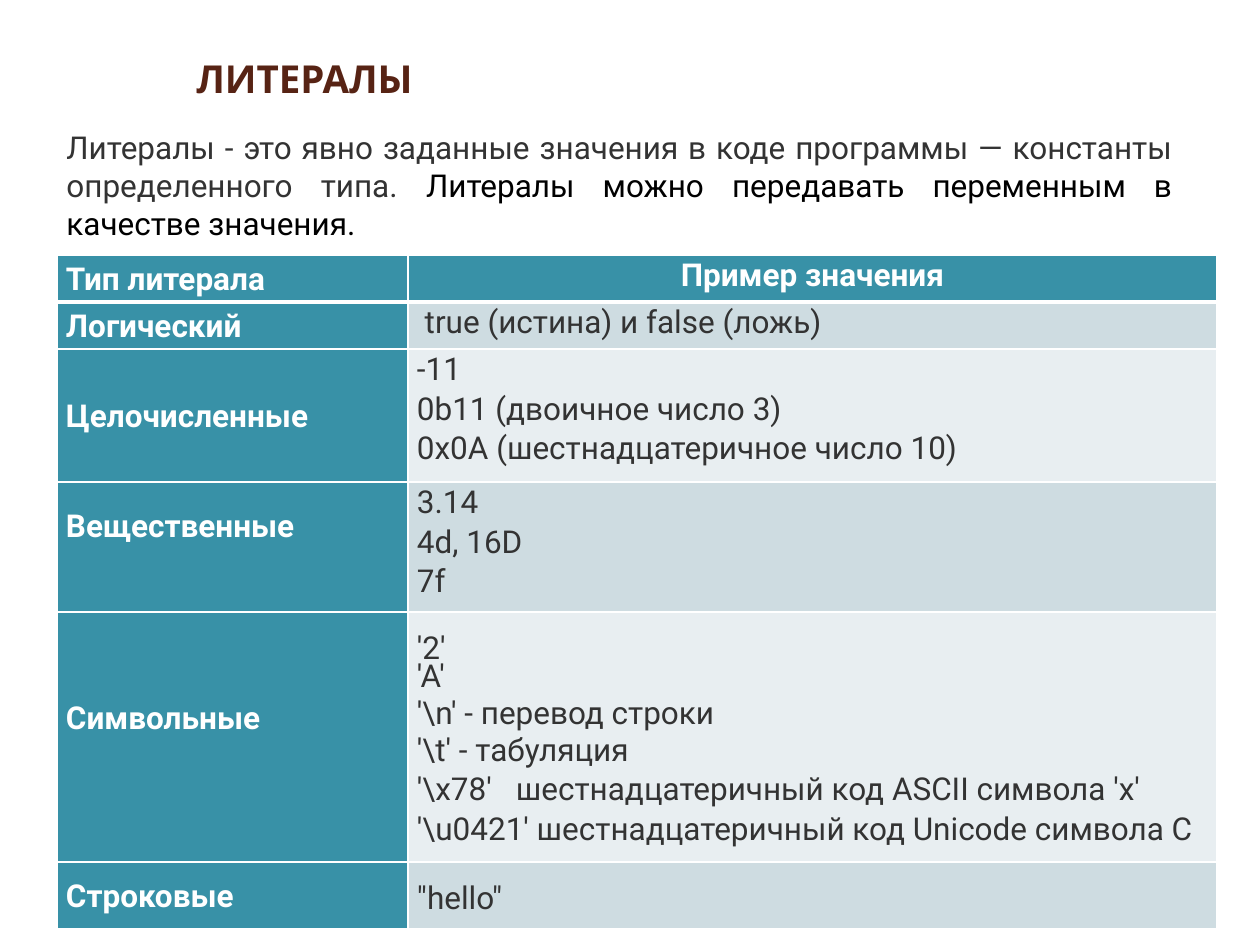
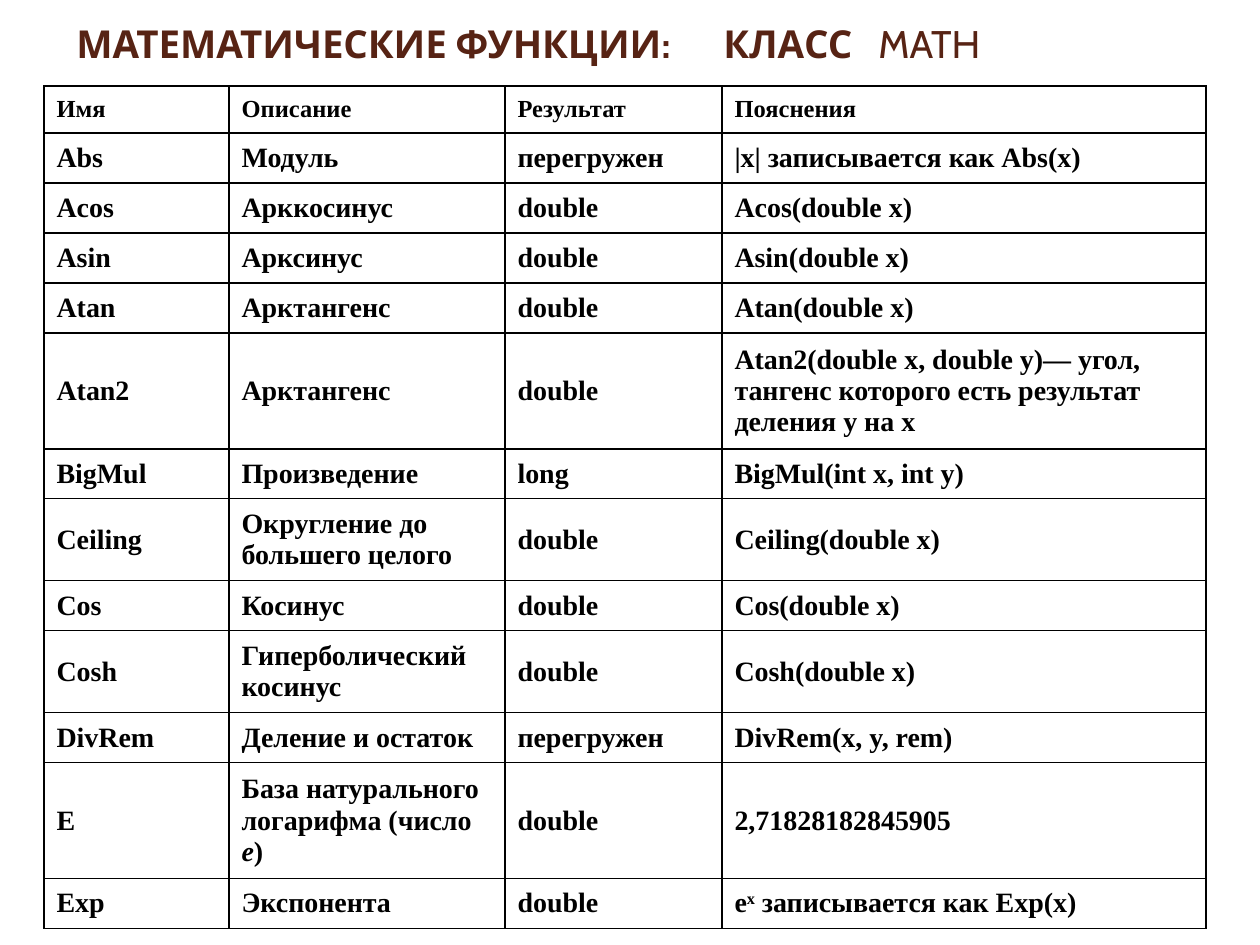
from pptx import Presentation
from pptx.util import Pt
from pptx.dml.color import RGBColor
from pptx.enum.text import MSO_ANCHOR, PP_ALIGN
from pptx.oxml.ns import qn
from lxml.etree import SubElement, Element

PX = 914400 // 126
HEX = {"title": "572314", "teal": "3891A7", "dark": "CEDCE1", "light": "E8EEF1",
       "gray": "333333", "black": "000000", "white": "FFFFFF"}
HEAD, BODY, SERIF = "Cabin", "Roboto", "Times New Roman"
TIGHT, LOOSE = Pt(15.8), 1.07

INTRO = [
    ("Литералы - это явно заданные значения в коде программы — константы определенного типа. ", "gray"),
    ("Литералы можно передавать переменным в качестве значения.", "black"),
]
KINDS = [
    ("Тип литерала", [(LOOSE, "Пример значения")]),
    ("Логический", [(LOOSE, " true (истина) и false (ложь)")]),
    ("Целочисленные", [(LOOSE, "-11"), (LOOSE, "0b11 (двоичное число 3)"),
                       (LOOSE, "0x0A (шестнадцатеричное число 10)")]),
    ("Вещественные", [(LOOSE, "3.14"), (LOOSE, "4d, 16D"), (LOOSE, "7f")]),
    ("Символьные", [(TIGHT, "'2'"), (TIGHT, "'A'"),
                    (1.0, r"'\n' - перевод строки"), (1.0, r"'\t' - табуляция"),
                    (LOOSE, r"'\x78'" + "\tшестнадцатеричный код ASCII символа 'x'"),
                    (LOOSE, r"'\u0421' шестнадцатеричный код Unicode символа С")]),
    ("Строковые", [(TIGHT, '"hello"')]),
]
KIND_COLS = [351, 809]
KIND_ROWS = [47, 47, 133, 130, 250, 67]
TOP_PAD = {"Символьные": 28, "Строковые": 28}
LOW_PAD = {"Вещественные": 40, "Символьные": 37}

MATH = [
    ("Имя", "Описание", "Результат", "Пояснения"),
    ("Abs", "Модуль", "перегружен", "|x| записывается как Abs(x)"),
    ("Acos", "Арккосинус", "double", "Acos(double x)"),
    ("Asin", "Арксинус", "double", "Asin(double x)"),
    ("Atan", "Арктангенс", "double", "Atan(double x)"),
    ("Atan2", "Арктангенс", "double",
     "Atan2(double x, double y)— угол, тангенс которого есть результат деления y на x"),
    ("BigMul", "Произведение", "long", "BigMul(int x, int y)"),
    ("Ceiling", "Округление до большего целого", "double", "Ceiling(double х)"),
    ("Cos", "Косинус", "double", "Сos(double x)"),
    ("Cosh", "Гиперболический косинус", "double", "Cosh(double x)"),
    ("DivRem", "Деление и остаток", "перегружен", "DivRem(x, y, rem)"),
    ("E", ("База натурального логарифма (число ", "е", ")"), "double", "2,71828182845905"),
    ("Exp", "Экспонента", "double", ("e", "x", " записывается как Exp(x)")),
]
MATH_COLS = [185, 276, 217, 484]
LINES = {"Atan2": 3, "Ceiling": 2, "Cosh": 2, "E": 3}
TALL = {1: 50, 2: 82, 3: 116}


def paint(run, font, size, color, bold=False):
    run.font.name, run.font.size, run.font.bold = font, Pt(size), bold
    run.font.color.rgb = RGBColor.from_string(HEX[color])


def write(par, parts, *style):
    if isinstance(parts, str):
        par.text = parts
    else:
        for part in parts:
            par.add_run().text = part
    for run in par.runs:
        paint(run, *style)


def tabs(par, *stops):
    group = SubElement(par._p.get_or_add_pPr(), qn("a:tabLst"))
    for stop in stops:
        SubElement(group, qn("a:tab"), pos=str(stop * PX), algn="l")


def add_box(slide, *place):
    frame = slide.shapes.add_textbox(*[n * PX for n in place]).text_frame
    frame.word_wrap = True
    return frame


def add_title(slide, place, text):
    frame = add_box(slide, *place)
    frame.vertical_anchor = MSO_ANCHOR.BOTTOM
    par = frame.paragraphs[0]
    par.line_spacing = Pt(20)
    write(par, text, HEAD, 22, "title", True)
    return par


def add_grid(slide, left, top, cols, rows):
    size = [n * PX for n in (left, top, sum(cols), sum(rows))]
    grid = slide.shapes.add_table(len(rows), len(cols), *size).table
    grid.horz_banding = False
    for col, wide in zip(grid.columns, cols):
        col.width = wide * PX
    for row, high in zip(grid.rows, rows):
        row.height = high * PX
    return grid


def frame_cell(cell, color, top=1, low=1):
    props = cell._tc.get_or_add_tcPr()
    for i, (side, wide) in enumerate((("L", 1), ("R", 1), ("T", top), ("B", low))):
        line = Element(qn("a:ln" + side), w=str(Pt(wide)))
        fill = SubElement(line, qn("a:solidFill"))
        SubElement(fill, qn("a:srgbClr"), val=HEX[color])
        props.insert(i, line)


def shade(cell, color):
    cell.fill.solid()
    cell.fill.fore_color.rgb = RGBColor.from_string(HEX[color])


def draw_kinds(slide):
    add_title(slide, (184, -50, 1033, 157), "ЛИТЕРАЛЫ")
    par = add_box(slide, 54, 122, 1131, 127).paragraphs[0]
    par.alignment = PP_ALIGN.JUSTIFY
    for text, color in INTRO:
        run = par.add_run()
        run.text = text
        paint(run, BODY, 18, color)

    grid = add_grid(slide, 57, 255, KIND_COLS, KIND_ROWS)
    for r, (kind, items) in enumerate(KINDS):
        name, value = grid.cell(r, 0), grid.cell(r, 1)
        for cell in (name, value):
            cell.margin_left = cell.margin_right = 9 * PX
            cell.margin_top = cell.margin_bottom = 0
            frame_cell(cell, "white", 3 if r == 1 else 1, 3 if r == 0 else 1)
        shade(name, "teal")
        shade(value, ("dark" if r % 2 else "light") if r else "teal")
        name.vertical_anchor = MSO_ANCHOR.MIDDLE
        name.margin_bottom = LOW_PAD.get(kind, 0) * PX
        value.margin_top = TOP_PAD.get(kind, 0) * PX
        label = name.text_frame.paragraphs[0]
        label.line_spacing = 1.0 if kind in LOW_PAD else LOOSE
        write(label, kind, BODY, 18, "white", True)

        value.text_frame.text = "\n".join(text for _, text in items)
        for par, (gap, text) in zip(value.text_frame.paragraphs, items):
            par.line_spacing = gap
            par.alignment = PP_ALIGN.JUSTIFY if r else PP_ALIGN.CENTER
            if "\t" in text:
                tabs(par, 99)
            for run in par.runs:
                paint(run, BODY, 18, "gray" if r else "white", r == 0)


def draw_math(slide):
    par = add_title(slide, (64, 0, 1125, 72),
                    ("МАТЕМАТИЧЕСКИЕ ФУНКЦИИ:\tКЛАСС\t", "MATH"))
    par.runs[1].font.bold = False
    tabs(par, 647, 802)

    rows = [47] + [TALL[LINES.get(row[0], 1)] for row in MATH[1:]]
    grid = add_grid(slide, 44, 86, MATH_COLS, rows)
    for r, row in enumerate(MATH):
        for c, parts in enumerate(row):
            cell = grid.cell(r, c)
            cell.fill.background()
            frame_cell(cell, "black")
            cell.vertical_anchor = MSO_ANCHOR.MIDDLE
            write(cell.text_frame.paragraphs[0], parts, SERIF, 16 if r else 14, "black", True)
    last = len(MATH) - 1
    grid.cell(last - 1, 1).text_frame.paragraphs[0].runs[1].font.italic = True
    power = grid.cell(last, 3).text_frame.paragraphs[0].runs[1]
    power._r.get_or_add_rPr().set("baseline", "30000")


def main():
    deck = Presentation()
    deck.slide_width, deck.slide_height = 1260 * PX, 945 * PX
    for draw in (draw_kinds, draw_math):
        draw(deck.slides.add_slide(deck.slide_layouts[6]))
    deck.save("out.pptx")


if __name__ == "__main__":
    main()
